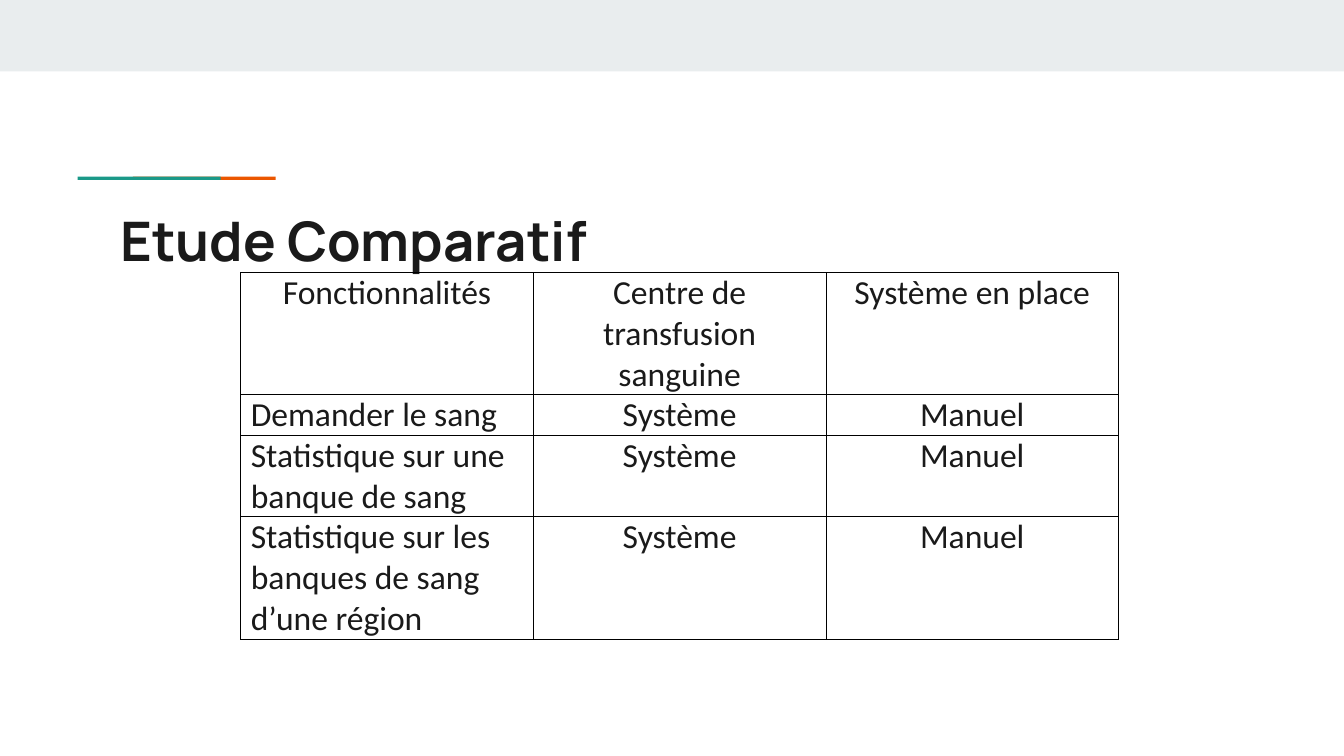
"""Build the slide comparing the blood bank system with manual work."""
from lxml.etree import SubElement
from pptx import Presentation
from pptx.dml.color import RGBColor
from pptx.enum.shapes import MSO_SHAPE
from pptx.enum.text import MSO_ANCHOR, PP_ALIGN
from pptx.oxml.ns import qn
from pptx.util import Cm, Pt

MIST = RGBColor(0xE9, 0xED, 0xEE)
ORANGE = RGBColor(0xEB, 0x56, 0x00)
TEAL = RGBColor(0x1A, 0x99, 0x88)
INK = RGBColor(0x1A, 0x1A, 0x1A)
BLACK = RGBColor(0, 0, 0)

TITLE_FONT = {"name": "Manrope", "size": Pt(29.2), "bold": True}
CELL_FONT = {"name": "Calibri", "size": Pt(18), "bold": False}
TITLE_FRAME = {"word_wrap": True, "vertical_anchor": MSO_ANCHOR.TOP,
               "margin_left": Cm(0.25), "margin_right": Cm(0.25),
               "margin_top": Cm(0.25), "margin_bottom": Cm(0.25)}
CELL_FRAME = {"vertical_anchor": MSO_ANCHOR.TOP,
              "margin_left": Cm(0.19), "margin_right": Cm(0.19),
              "margin_top": Cm(0), "margin_bottom": Cm(0)}

COMPARISON = [
    (3, "Fonctionnalités", "Centre de transfusion sanguine", "Système en place"),
    (1, "Demander le sang", "Système", "Manuel"),
    (2, "Statistique sur une banque de sang", "Système", "Manuel"),
    (3, "Statistique sur les banques de sang d’une région", "Système", "Manuel"),
]
LINE_HEIGHT = 0.77
COLUMN_WIDTH = 5.53


def apply_format(target, values):
    for key, value in values.items():
        setattr(target, key, value)


def write(paragraph, wording, font_values):
    run = paragraph.add_run()
    run.text = wording
    apply_format(run.font, font_values)
    run.font.color.rgb = INK


presentation = Presentation()
apply_format(presentation, {"slide_width": Cm(25.4), "slide_height": Cm(14.29)})
slide = presentation.slides.add_slide(presentation.slide_layouts[6])

for left, top, width, height, colour in [
    (0, 0, 25.4, 1.35, MIST),
    (2.51, 3.34, 2.7, 0.06, ORANGE),
    (1.47, 3.34, 2.7, 0.06, TEAL),
]:
    band = slide.shapes.add_shape(
        MSO_SHAPE.RECTANGLE, Cm(left), Cm(top), Cm(width), Cm(height))
    band.shadow.inherit = False
    band.fill.solid()
    band.fill.fore_color.rgb = colour
    band.line.fill.background()

title = slide.shapes.add_textbox(Cm(2.03), Cm(3.66), Cm(21.36), Cm(1.5)).text_frame
apply_format(title, TITLE_FRAME)
write(title.paragraphs[0], "Etude Comparatif", TITLE_FONT)

line_total = sum(row[0] for row in COMPARISON)
comparison = slide.shapes.add_table(
    len(COMPARISON), 3, Cm(4.55), Cm(5.15),
    Cm(3 * COLUMN_WIDTH), Cm(line_total * LINE_HEIGHT)).table
apply_format(comparison, {"first_row": False, "horz_banding": False})
for column in comparison.columns:
    column.width = Cm(COLUMN_WIDTH)

for row_index, (line_count, *wordings) in enumerate(COMPARISON):
    comparison.rows[row_index].height = Cm(line_count * LINE_HEIGHT)
    for column_index, wording in enumerate(wordings):
        cell = comparison.cell(row_index, column_index)
        apply_format(cell, CELL_FRAME)
        paragraph = cell.text_frame.paragraphs[0]
        is_feature = row_index > 0 and column_index == 0
        paragraph.alignment = PP_ALIGN.LEFT if is_feature else PP_ALIGN.CENTER
        write(paragraph, wording, CELL_FONT)
        properties = cell._tc.get_or_add_tcPr()
        for side in ("a:lnL", "a:lnR", "a:lnT", "a:lnB"):
            border = SubElement(properties, qn(side), w=str(Pt(0.5)))
            border_fill = SubElement(border, qn("a:solidFill"))
            SubElement(border_fill, qn("a:srgbClr"), val=str(BLACK))
        cell.fill.background()

presentation.save("out.pptx")
